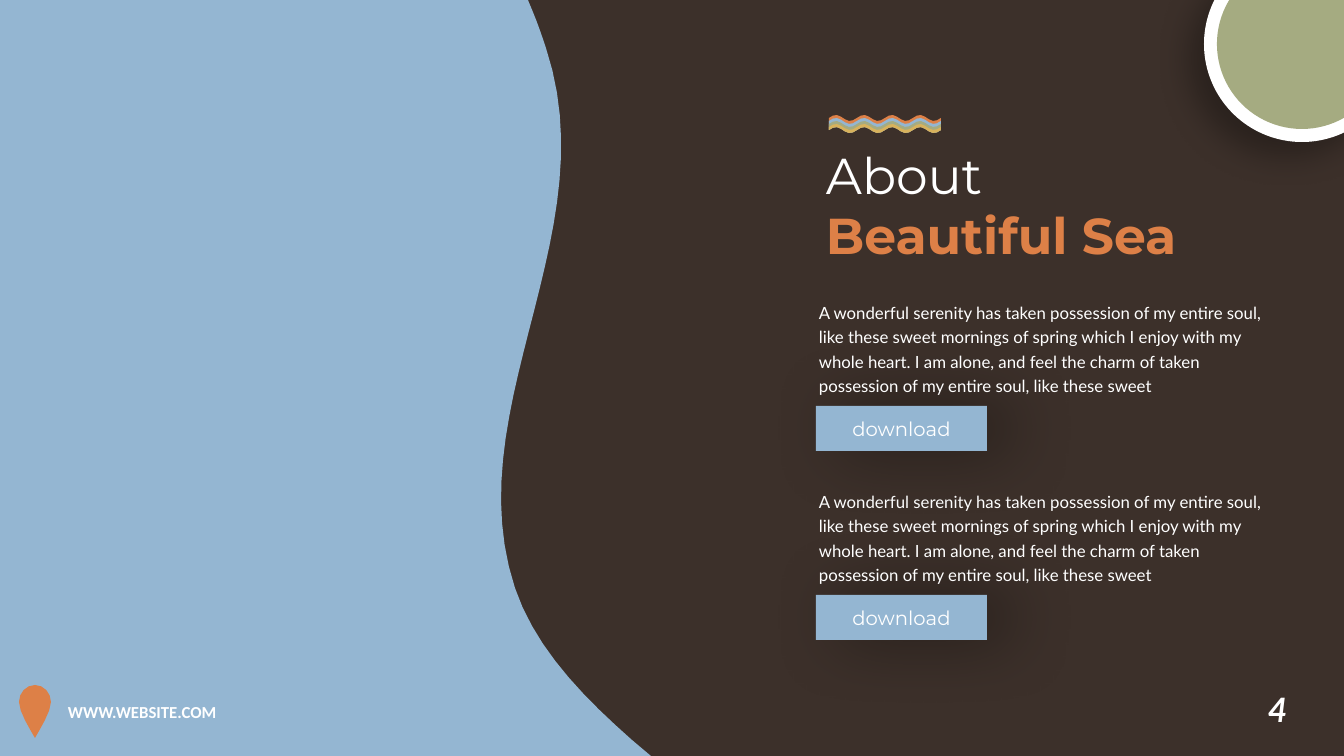
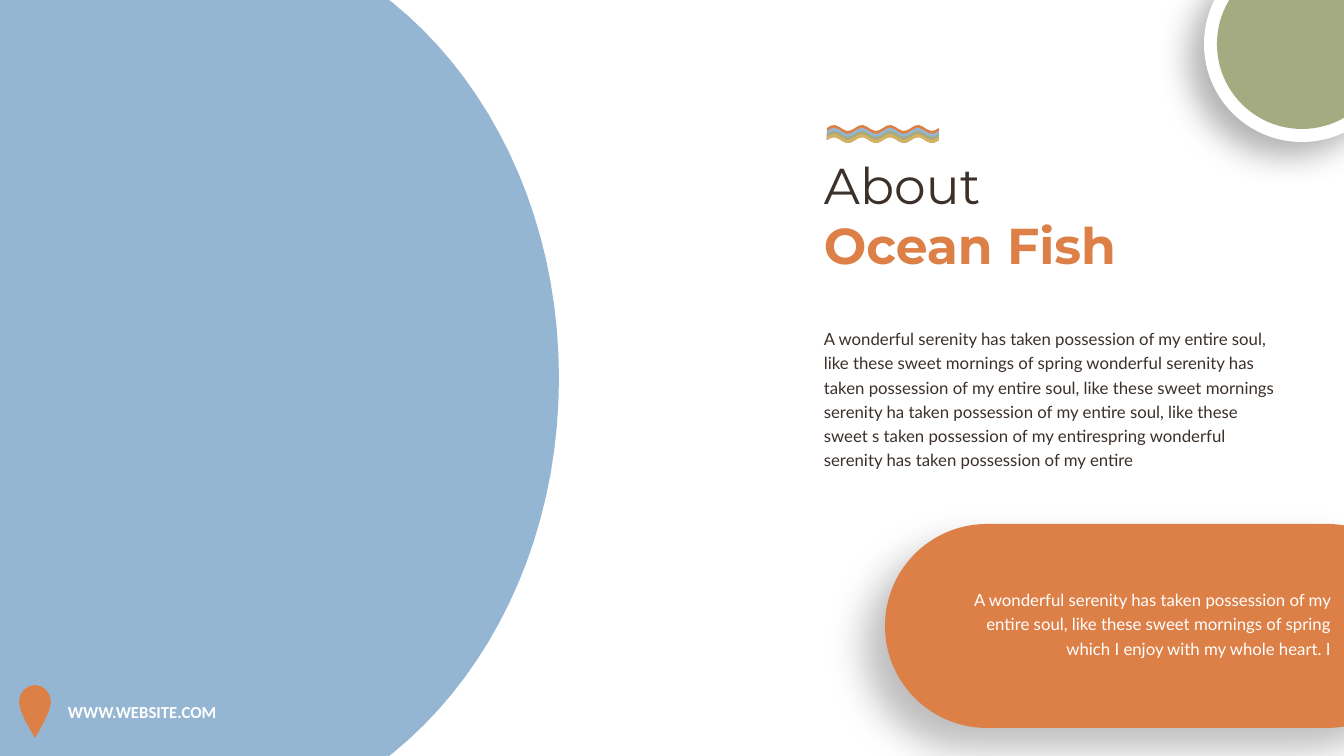
from dataclasses import dataclass
from math import dist, pi, sin

from lxml import etree
from pptx import Presentation, util as u
from pptx.dml.color import RGBColor
from pptx.enum import shapes, text
from pptx.oxml.ns import qn

WIDTH, HEIGHT = 1344, 756
PX = u.Inches(7.5) / HEIGHT


@dataclass(frozen=True)
class Theme:
    brown: str = "3C302A"
    blue: str = "94B6D2"
    green: str = "A5AB81"
    orange: str = "DD8047"
    gold: str = "D8B25C"
    white: str = "FFFFFF"
    heading_font: str = "Montserrat"
    body_font: str = "Lato"
    footer_font: str = "Calibri"
    title_size: int = 36
    number_size: int = 24
    button_size: int = 14
    body_size: int = 12


THEME = Theme()


def emu(pixels):
    return round(pixels * PX)


def outline(start, *segments):
    """Trace from start; each segment is one line point or three Bezier points."""
    points = [start]
    for segment in segments:
        if len(segment) == 1:
            points += segment
            continue
        knots = [points[-1], *segment]
        steps = max(4, round(dist(knots[0], knots[-1]) / 22))
        for step in range(1, steps + 1):
            t = step / steps
            weights = ((1 - t) ** 3, 3 * t * (1 - t) ** 2, 3 * t * t * (1 - t), t ** 3)
            points.append(tuple(sum(w * knot[axis] for w, knot in zip(weights, knots))
                                for axis in (0, 1)))
    return points


def write(frame, words, *, font=THEME.body_font, size=THEME.body_size, color=THEME.white,
          bold=False, italic=False, align=text.PP_ALIGN.LEFT, spacing=None):
    """Fill the frame's first paragraph, or add one after its text."""
    paragraph = frame.add_paragraph() if frame.text else frame.paragraphs[0]
    paragraph.alignment = align
    paragraph.line_spacing = spacing
    run = paragraph.add_run()
    run.text = words
    run.font.name, run.font.size = font, u.Pt(size)
    run.font.bold, run.font.italic = bold, italic
    run.font.color.rgb = RGBColor.from_string(color)


class Deck:
    def __init__(self, theme):
        self.theme = theme
        self.presentation = Presentation()
        self.presentation.slide_width = emu(WIDTH)
        self.presentation.slide_height = emu(HEIGHT)
        self.slide = None

    def add_slide(self, background):
        self.slide = self.presentation.slides.add_slide(self.presentation.slide_layouts[6])
        fill = self.slide.background.fill
        fill.solid()
        fill.fore_color.rgb = RGBColor.from_string(background)

    def paint(self, shape, color, shadow=None):
        """Set a plain fill; shadow is opacity %, blur pt, distance pt, angle."""
        shape.shadow.inherit = False
        shape.fill.solid()
        shape.fill.fore_color.rgb = RGBColor.from_string(color)
        shape.line.fill.background()
        if shadow:
            opacity, blur, distance, angle = shadow
            effects = shape._element.spPr.find(qn("a:effectLst"))
            outer = etree.SubElement(effects, qn("a:outerShdw"), blurRad=str(u.Pt(blur)),
                                     dist=str(u.Pt(distance)), dir=str(angle * 60000),
                                     algn="ctr", rotWithShape="0")
            black = etree.SubElement(outer, qn("a:srgbClr"), val="000000")
            etree.SubElement(black, qn("a:alpha"), val=str(opacity * 1000))

    def freeform(self, points, color, group=None):
        owner = (group or self.slide).shapes
        start, *rest = [(emu(x), emu(y)) for x, y in points]
        builder = owner.build_freeform(*start, scale=1.0)
        builder.add_line_segments(rest, close=True)
        self.paint(builder.convert_to_shape(), color)

    def shape(self, kind, left, top, width, height, color, shadow=None):
        shape = self.slide.shapes.add_shape(kind, *map(emu, (left, top, width, height)))
        self.paint(shape, color, shadow)
        return shape

    def text_box(self, left, top, width, height):
        box = self.slide.shapes.add_textbox(*map(emu, (left, top, width, height)))
        box.text_frame.word_wrap = True
        return box.text_frame

    def body(self, left, top, width, height, words, **style):
        write(self.text_box(left, top, width, height), words, spacing=1.2, **style)

    def corner_disc(self):
        for radius, color, shadow in ((98, self.theme.white, (29, 23, 15, 135)),
                                      (85, self.theme.green, None)):
            self.shape(shapes.MSO_SHAPE.OVAL, 1302 - radius, 44 - radius,
                       2 * radius, 2 * radius, color, shadow)

    def footer(self):
        pin = outline((35, 685), [(44, 685), (51, 693), (51, 702)],
                      [(51, 712), (40, 729), (35, 738)],
                      [(30, 729), (19, 712), (19, 702)],
                      [(19, 693), (26, 685), (35, 685)])
        self.freeform(pin, self.theme.orange)
        write(self.text_box(58, 697, 255, 30), "WWW.WEBSITE.COM",
              font=self.theme.footer_font, bold=True)

    def page_number(self, number):
        write(self.text_box(1258, 684, 60, 50), number, size=self.theme.number_size,
              bold=True, italic=True)

    def waves(self, left, top):
        """Four stacked stripes, each 3 px high, over four wave periods."""
        group = self.slide.shapes.add_group_shape()
        ripple = [(left + x, top - 3 * sin(2 * pi * x / 28)) for x in range(0, 113, 4)]
        bottom = [(x, y + 12) for x, y in reversed(ripple)]
        colors = (self.theme.orange, self.theme.blue, self.theme.green, self.theme.gold)
        for index, color in enumerate(colors):
            edge = [(x, y + 3 * index) for x, y in ripple]
            self.freeform(edge + bottom, color, group)

    def title(self, left, top, lead, subject, lead_color):
        frame = self.text_box(left, top, 380, 132)
        style = dict(font=self.theme.heading_font, size=self.theme.title_size)
        write(frame, lead, color=lead_color, **style)
        write(frame, subject, color=self.theme.orange, bold=True, **style)
        self.waves(left + 13, top - 21)

    def button(self, left, top, label):
        shape = self.shape(shapes.MSO_SHAPE.RECTANGLE, left, top, 171, 45,
                           self.theme.blue, (40, 50, 16, 0))
        shape.text_frame.vertical_anchor = text.MSO_ANCHOR.MIDDLE
        write(shape.text_frame, label, font=self.theme.heading_font,
              size=self.theme.button_size, align=text.PP_ALIGN.CENTER)


def sea_slide(deck):
    deck.add_slide(THEME.brown)
    coast = outline((528, 0), [(533, 12)], [(538, 24), (542, 36), (546, 48)],
                    [(608, 235), (456, 408), (515, 588)],
                    [(535, 647), (581, 695), (632, 740)],
                    [(651, HEIGHT)], [(0, HEIGHT)], [(0, 0)])
    deck.freeform(coast, THEME.blue)
    deck.corner_disc()
    deck.page_number("4")
    deck.footer()
    deck.title(816, 139, "About", "Beautiful Sea", THEME.white)
    for top in (483, 294):
        deck.button(816, top + 112, "download")
        deck.body(809, top, 467, 106,
                  "A wonderful serenity has taken possession of my entire soul, like these "
                  "sweet mornings of spring which I enjoy with my whole heart. I am alone, and "
                  "feel the charm of taken possession of my entire soul, like these sweet")


def fish_slide(deck):
    deck.add_slide(THEME.white)
    bubble = outline((0, 0), [(389, 0)], [(393, 3)],
                     [(494, 85), (559, 222), (559, 378)],
                     [(559, 534), (494, 671), (393, 753)],
                     [(389, HEIGHT)], [(0, HEIGHT)])
    deck.freeform(bubble, THEME.blue)
    deck.corner_disc()
    deck.footer()
    deck.title(814, 149, "About", "Ocean Fish", THEME.brown)
    pill = deck.shape(shapes.MSO_SHAPE.ROUNDED_RECTANGLE, 885, 524, 544, 204,
                      THEME.orange, (26, 27, 21, 135))
    pill.adjustments[0] = 0.5
    deck.body(939, 581, 402, 82,
              "A wonderful serenity has taken possession of my entire soul, like these sweet "
              "mornings of spring which I enjoy with my whole heart. I",
              align=text.PP_ALIGN.RIGHT)
    deck.body(814, 320, 471, 154,
              "A wonderful serenity has taken possession of my entire soul, like these sweet "
              "mornings of spring wonderful serenity has taken possession of my entire soul, "
              "like these sweet mornings serenity ha taken possession of my entire soul, like "
              "these sweet s taken possession of my entirespring wonderful serenity has taken "
              "possession of my entire", color=THEME.brown)


def main():
    deck = Deck(THEME)
    sea_slide(deck)
    fish_slide(deck)
    deck.presentation.save("out.pptx")


if __name__ == "__main__":
    main()
